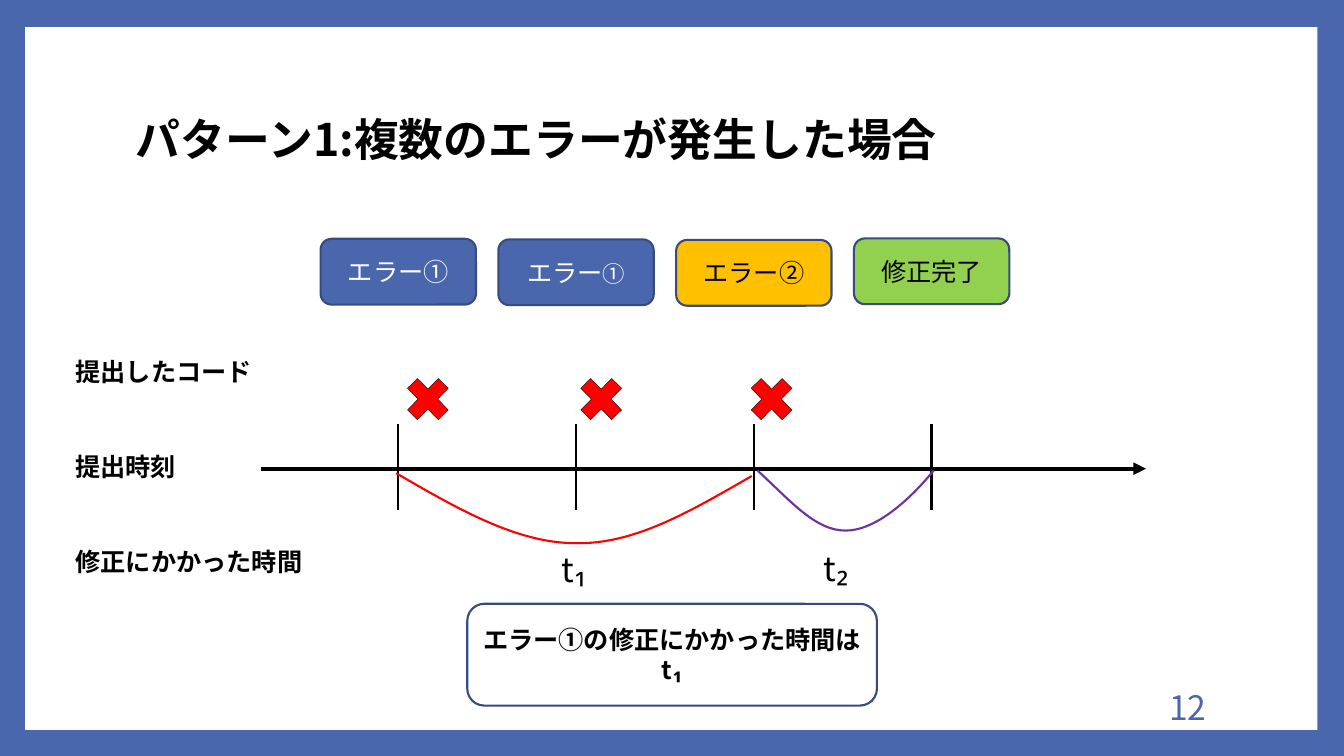
"""Build the slide that explains repair time when several errors occur."""
from lxml import etree
from pptx import Presentation
from pptx import util as u
from pptx.dml import color
from pptx.enum import lang, shapes, text
from pptx.oxml import ns

Pt = u.Pt
FONT = "Noto Sans CJK JP"
COLORS = {
    "blue": "4A66AC", "navy": "374B7F", "white": "FFFFFF", "black": "000000",
    "red": "FF0000", "purple": "7030A0", "amber": "FFC000", "green": "92D050",
}
TICK_LEFT, TICK_STEP = 284.4, 127
AXIS_TOP = 334.8


def rgb(name):
    """Return the named colour."""
    return color.RGBColor.from_string(COLORS[name])


def apply(target, formats):
    """Set each format value on the target."""
    for name, value in formats.items():
        setattr(target, name, value)


def write(shape, runs, ink="black", bold=False, align="LEFT", anchor="TOP", spacing=None):
    """Write one paragraph of (words, size) runs into the shape."""
    frame = shape.text_frame
    apply(frame, {"word_wrap": True, "vertical_anchor": getattr(text.MSO_ANCHOR, anchor)})
    paragraph = frame.paragraphs[0]
    apply(paragraph, {"alignment": getattr(text.PP_ALIGN, align), "line_spacing": spacing})
    for words, size in runs:
        run = paragraph.add_run()
        run.text = words
        run.font.color.rgb = rgb(ink)
        apply(run.font, {"size": Pt(size), "bold": bold, "name": FONT,
                         "language_id": lang.MSO_LANGUAGE_ID.JAPANESE})
        latin = run.font._element.find(ns.qn("a:latin"))
        latin.addnext(etree.Element(ns.qn("a:ea"), typeface=FONT))


def add_text(slide, box, words, size, **formats):
    """Add a text box with one run."""
    shape = slide.shapes.add_textbox(*map(Pt, box))
    write(shape, [(words, size)], **formats)


def add_block(slide, kind, box, fill, line=None, width=1.5):
    """Add a preset shape with a plain fill and outline."""
    shape = slide.shapes.add_shape(getattr(shapes.MSO_SHAPE, kind), *map(Pt, box))
    shape.shadow.inherit = False
    shape.fill.solid()
    shape.fill.fore_color.rgb = rgb(fill)
    if line:
        shape.line.color.rgb = rgb(line)
        shape.line.width = Pt(width)
    else:
        shape.line.fill.background()
    return shape


def add_line(slide, start, end, width, arrow=False):
    """Add a straight black line, with an arrowhead if asked."""
    line = slide.shapes.add_connector(shapes.MSO_CONNECTOR.STRAIGHT, *map(Pt, start + end))
    line.line.color.rgb = rgb("black")
    line.line.width = Pt(width)
    properties = line._element.spPr
    if arrow:
        etree.SubElement(properties.find(ns.qn("a:ln")), ns.qn("a:tailEnd"), type="triangle")
    etree.SubElement(properties, ns.qn("a:effectLst"))


def add_curve(slide, points, ink):
    """Add an open Bezier curve through a start point and triples of points."""
    builder = slide.shapes.build_freeform(*points[0], scale=Pt(1))
    builder.add_line_segments(points[1:], close=False)
    curve = builder.convert_to_shape()
    curve.shadow.inherit = False
    curve.fill.background()
    curve.line.color.rgb = rgb(ink)
    curve.line.width = Pt(1.5)
    segments = list(curve._element.iter(ns.qn("a:lnTo")))
    outline = segments[0].getparent()
    for first in range(0, len(segments), 3):
        bezier = etree.SubElement(outline, ns.qn("a:cubicBezTo"))
        for segment in segments[first:first + 3]:
            bezier.append(segment[0])
            outline.remove(segment)


def add_timeline(slide):
    """Draw the axis, ticks, crosses and repair-time curves."""
    for left in (284.4, 408.2, 529.9):
        add_block(slide, "MATH_MULTIPLY", (left, 263.5, 42.5, 43.2), "red", "black", 0.25)
    add_line(slide, (186.5, AXIS_TOP), (818.6, AXIS_TOP), 3, arrow=True)
    for index in range(4):
        left = TICK_LEFT + index * TICK_STEP
        add_line(slide, (left, 303.1), (left, 364.3), 1.5)
    add_curve(slide, [(537.1, 339.8), (495.4, 364.3), (453.6, 388.8), (411.1, 388.1),
                      (368.6, 388.1), (326.2, 362.9), (283, 338.4)], "red")
    add_curve(slide, [(667.4, 336.2), (648.7, 357.8), (625, 378.7), (604.1, 378.7),
                      (582.5, 378.7), (564.5, 357.1), (541.4, 335.5)], "purple")
    add_text(slide, (388.1, 388.8, 43.9, 36), "t₁", 24, align="CENTER")
    add_text(slide, (572.4, 388.1, 49.7, 36), "t₂", 24, align="CENTER")


def add_submissions(slide):
    """Draw the row of submitted codes."""
    submissions = [
        ([("エラー①", 18)], "blue", "white", 170.6),
        ([("エラー", 18), ("①", 16)], "blue", "white", 171),
        ([("エラー②", 18)], "amber", "black", 171.4),
        ([("修正完了", 18)], "green", "black", 170.3),
    ]
    for index, (runs, fill, ink, top) in enumerate(submissions):
        box = (229 + index * TICK_STEP, top, 111, 47)
        shape = add_block(slide, "ROUNDED_RECTANGLE", box, fill, "navy")
        write(shape, runs, ink=ink, align="CENTER", anchor="MIDDLE")


def main():
    """Build and save the slide."""
    presentation = Presentation()
    apply(presentation, {"slide_width": Pt(960), "slide_height": Pt(540)})
    slide = presentation.slides.add_slide(presentation.slide_layouts[6])
    slide.background.fill.solid()
    slide.background.fill.fore_color.rgb = rgb("blue")
    add_block(slide, "RECTANGLE", (18, 19.4, 923, 502), "white")
    add_text(slide, (90, 48.2, 777.6, 106.6), "パターン1:複数のエラーが発生した場合", 32,
             bold=True, anchor="MIDDLE", spacing=0.9)
    add_text(slide, (734.4, 490.3, 134.6, 28.8), "12", 24,
             ink="blue", align="RIGHT", anchor="MIDDLE")
    labels = [("提出したコード", 143.3), ("提出時刻", 118.1), ("修正にかかった時間", 188.6)]
    for index, (label, width) in enumerate(labels):
        add_text(slide, (46.8, 251.3 + index * 67.7, width, 29), label, 18, bold=True)
    add_timeline(slide)
    add_submissions(slide)
    summary = add_block(slide, "ROUNDED_RECTANGLE", (333.8, 431.3, 292.6, 72.7), "white", "navy")
    write(summary, [("エラー①の修正にかかった時間はt₁", 18)],
          bold=True, align="CENTER", anchor="MIDDLE")
    presentation.save("out.pptx")


if __name__ == "__main__":
    main()
